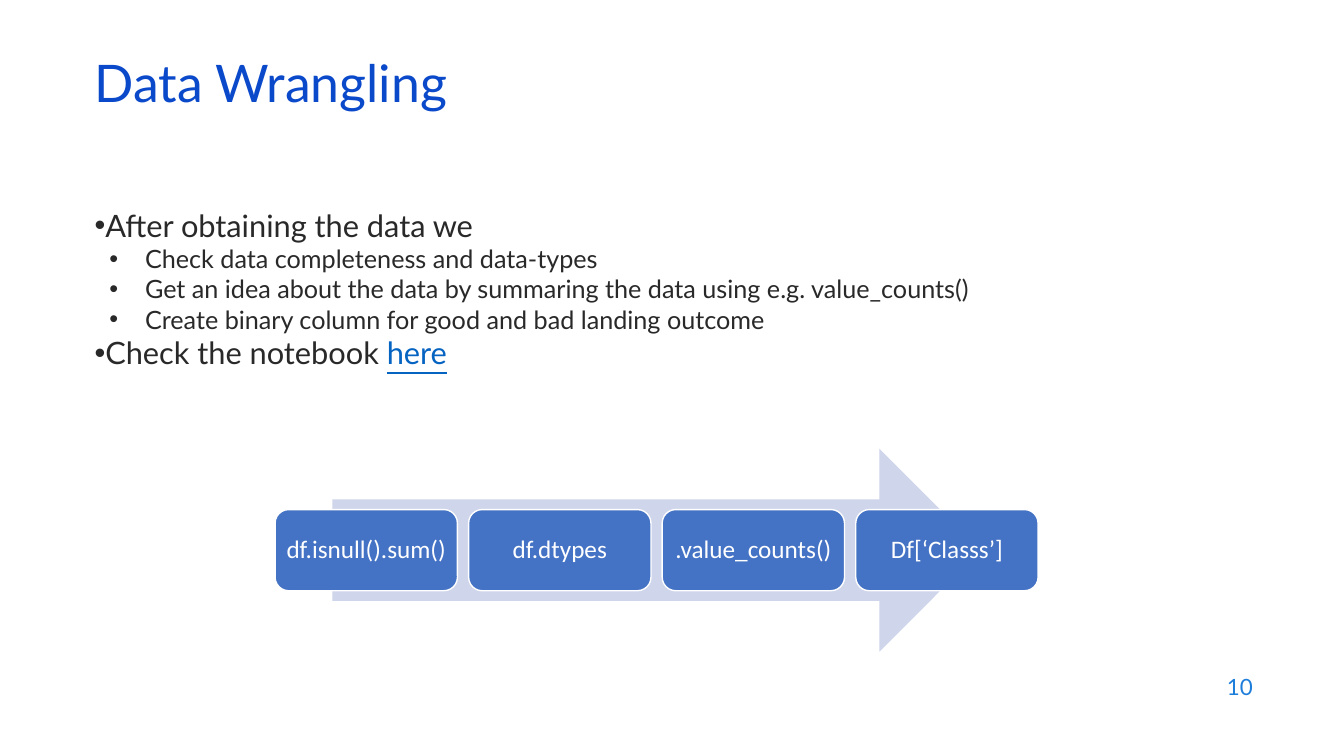
from dataclasses import dataclass

from lxml.etree import SubElement
from pptx import Presentation
from pptx.dml.color import RGBColor
from pptx.enum.shapes import MSO_SHAPE
from pptx.enum.text import MSO_ANCHOR, PP_ALIGN
from pptx.oxml.ns import qn
from pptx.util import Pt


@dataclass(frozen=True)
class Theme:
    heading_font: str = "Lato"
    step_font: str = "Calibri"
    title_size: int = 37
    bullet_size: int = 22
    detail_size: int = 18
    step_size: int = 18
    number_size: int = 16
    title: str = "0B49CB"
    body: str = "292929"
    link: str = "0563C1"
    number: str = "1C7DDB"
    arrow: str = "CFD5EA"
    step: str = "4472C4"
    white: str = "FFFFFF"


THEME = Theme()

# Each bullet: level, plain text, underlined ending
BULLETS = [
    (0, "After obtaining the data we", ""),
    (1, "Check data completeness and data-types", ""),
    (1, "Get an idea about the data by summaring the data using e.g. value_counts()", ""),
    (1, "Create binary column for good and bad landing outcome", ""),
    (0, "Check the notebook ", "here"),
]
STEPS = ["df.isnull().sum()", "df.dtypes", ".value_counts()", "Df[‘Classs’]"]


def style_font(font, name, size, color):
    font.name = name
    font.size = Pt(size)
    font.color.rgb = RGBColor.from_string(color)


def add_text_frame(slide, box):
    text_frame = slide.shapes.add_textbox(*map(Pt, box)).text_frame
    text_frame.word_wrap = True
    return text_frame


def add_line_of_text(slide, box, text, size, color, alignment, spacing):
    text_frame = add_text_frame(slide, box)
    text_frame.vertical_anchor = MSO_ANCHOR.MIDDLE
    text_frame.text = text
    paragraph = text_frame.paragraphs[0]
    paragraph.alignment = alignment
    paragraph.line_spacing = spacing
    style_font(paragraph.runs[0].font, THEME.heading_font, size, color)


def add_bullet(paragraph, level):
    properties = paragraph._p.get_or_add_pPr()
    margin, indent = (Pt(36), Pt(-25.5)) if level else (0, 0)
    properties.set("marL", str(margin))
    properties.set("indent", str(indent))
    SubElement(properties, qn("a:buFont")).set("typeface", "Arial")
    SubElement(properties, qn("a:buChar")).set("char", "•")


def add_bullets(slide, box):
    text_frame = add_text_frame(slide, box)
    text_frame.text = "\n".join(text for _, text, _ in BULLETS)
    for paragraph, (level, _, ending) in zip(text_frame.paragraphs, BULLETS):
        paragraph.level = level
        add_bullet(paragraph, level)
        size = THEME.detail_size if level else THEME.bullet_size
        style_font(paragraph.runs[0].font, THEME.heading_font, size, THEME.body)
        if ending:
            run = paragraph.add_run()
            run.text = ending
            style_font(run.font, THEME.heading_font, size, THEME.link)
            run.font.underline = True


def add_block(slide, kind, box, color):
    shape = slide.shapes.add_shape(kind, *map(Pt, box))
    shape.shadow.inherit = False
    shape.fill.solid()
    shape.fill.fore_color.rgb = RGBColor.from_string(color)
    shape.line.fill.background()
    return shape


def add_step(slide, box, text):
    shape = add_block(slide, MSO_SHAPE.ROUNDED_RECTANGLE, box, THEME.step)
    shape.line.color.rgb = RGBColor.from_string(THEME.white)
    shape.line.width = Pt(1)
    text_frame = shape.text_frame
    text_frame.margin_left = text_frame.margin_right = Pt(5)
    text_frame.vertical_anchor = MSO_ANCHOR.MIDDLE
    text_frame.text = text
    paragraph = text_frame.paragraphs[0]
    paragraph.alignment = PP_ALIGN.CENTER
    paragraph.line_spacing = 0.9
    style_font(paragraph.runs[0].font, THEME.step_font, THEME.step_size, THEME.white)


def add_process(slide, box):
    left, top, width, height = box
    # Arrow behind the steps
    arrow_width = 0.85 * width
    arrow_box = (left + (width - arrow_width) / 2, top, arrow_width, height)
    add_block(slide, MSO_SHAPE.RIGHT_ARROW, arrow_box, THEME.arrow)
    # Equal steps across the middle
    gap = 8
    step_width = (width - gap * (len(STEPS) - 1)) / len(STEPS)
    step_height = 0.4 * height
    step_top = top + (height - step_height) / 2
    for index, text in enumerate(STEPS):
        step_left = left + index * (step_width + gap)
        add_step(slide, (step_left, step_top, step_width, step_height), text)


def build_slide(presentation):
    slide = presentation.slides.add_slide(presentation.slide_layouts[6])
    # Title, body, process and page number
    add_line_of_text(slide, (60.5, 42.5, 828, 43), "Data Wrangling",
                     THEME.title_size, THEME.title, PP_ALIGN.LEFT, 0.7)
    add_bullets(slide, (60.5, 144, 707, 163.5))
    add_process(slide, (196.5, 320.5, 545, 145))
    add_line_of_text(slide, (686, 474.5, 216, 31.5), "10",
                     THEME.number_size, THEME.number, PP_ALIGN.RIGHT, 1.0)


def main():
    presentation = Presentation()
    presentation.slide_width = Pt(960)
    presentation.slide_height = Pt(540)
    build_slide(presentation)
    presentation.save("out.pptx")


if __name__ == "__main__":
    main()
